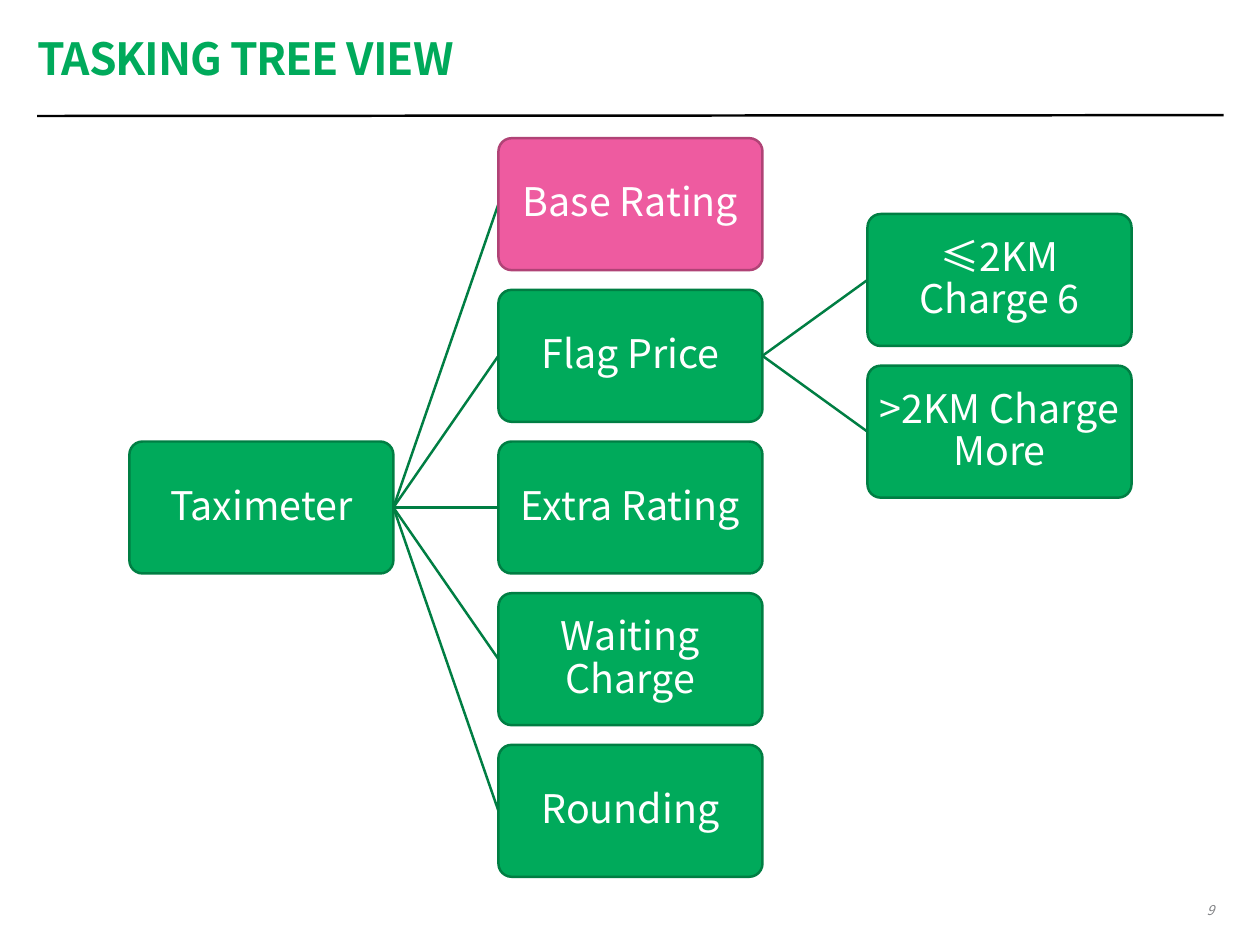
from pptx import Presentation
from pptx.dml.color import RGBColor as RGB
from pptx.enum.shapes import MSO_CONNECTOR as LINE, MSO_SHAPE as SHAPE
from pptx.enum.text import MSO_ANCHOR as ANCHOR, PP_ALIGN as ALIGN
from pptx.oxml.ns import qn
from pptx.util import Inches, Pt
from lxml.etree import SubElement

FONT = "Noto Sans CJK SC"
HUES = {"green": "00AA5B", "dark": "007E43", "pink": "EE5BA0", "plum": "B04376",
        "black": "000000", "white": "FFFFFF", "gray": "808184"}
TITLE = {"size": Pt(36), "bold": True}
LABEL = {"size": Pt(32)}
PAGE = {"size": Pt(11), "italic": True}
NODES = {
    "Taximeter": (0, 2, None),
    "Base Rating": (1, 0, "Taximeter"),
    "Flag Price": (1, 1, "Taximeter"),
    "Extra Rating": (1, 2, "Taximeter"),
    "Waiting Charge": (1, 3, "Taximeter"),
    "Rounding": (1, 4, "Taximeter"),
    "≤2KM Charge 6": (2, 0.5, "Flag Price"),
    ">2KM Charge More": (2, 1.5, "Flag Price"),
}


def color(name):
    return RGB.from_string(HUES[name])


def write(shape, text, style, hue, align, space=1.0, inset=0.0, wrap=True):
    frame = shape.text_frame
    pad = Inches(inset)
    look = {"word_wrap": wrap, "vertical_anchor": ANCHOR.MIDDLE,
            "margin_left": pad, "margin_right": pad,
            "margin_top": pad, "margin_bottom": pad}
    for key, value in look.items():
        setattr(frame, key, value)
    para = frame.paragraphs[0]
    para.alignment, para.line_spacing = align, space
    run = para.add_run()
    run.text = text
    for key, value in {**style, "name": FONT}.items():
        setattr(run.font, key, value)
    run.font.color.rgb = color(hue)
    props = run._r.get_or_add_rPr()
    SubElement(props, qn("a:ea")).set("typeface", FONT)
    return props


def link(slide, start, end, hue):
    line = slide.shapes.add_connector(LINE.STRAIGHT, *map(Inches, start + end))
    line.line.color.rgb = color(hue)
    line.line.width = Pt(2)
    SubElement(line._element.spPr, qn("a:effectLst"))


def header(slide, x, y, w, h):
    link(slide, (x, y + 0.98), (x + w, y + 0.97), "black")
    box = slide.shapes.add_textbox(*map(Inches, (x, y, w, h)))
    props = write(box, "TASKING TREE VIEW", TITLE, "green", ALIGN.LEFT, 0.7)
    props.set("spc", "-90")


def node(slide, text, x, y, w, h, fill, edge):
    box = slide.shapes.add_shape(SHAPE.ROUNDED_RECTANGLE,
                                 *map(Inches, (x, y, w, h)))
    box.adjustments[0] = 0.1
    box.shadow.inherit = False
    box.fill.solid()
    box.fill.fore_color.rgb = color(fill)
    box.line.color.rgb = color(edge)
    box.line.width = Pt(2)
    write(box, text, LABEL, "white", ALIGN.CENTER, 0.9, 0.02)


def tree(slide, x, y, w, h):
    wide, tall = 2.98, 1.49
    step, drop = (w - wide) / 2, (h - tall) / 4
    spots = {name: (x + col * step, y + row * drop)
             for name, (col, row, _) in NODES.items()}
    for name, (_, _, root) in NODES.items():
        left, top = spots[name]
        if root:
            far, high = spots[root]
            link(slide, (far + wide, high + tall / 2),
                 (left, top + tall / 2), "dark")
        hues = ("pink", "plum") if name == "Base Rating" else ("green", "dark")
        node(slide, name, left, top, wide, tall, *hues)


def footer(slide, x, y, w, h):
    box = slide.shapes.add_textbox(*map(Inches, (x, y, w, h)))
    write(box, "9", PAGE, "gray", ALIGN.RIGHT, inset=0.1, wrap=False)


def main():
    deck = Presentation()
    deck.slide_width, deck.slide_height = Inches(14.22), Inches(10.67)
    slide = deck.slides.add_slide(deck.slide_layouts[6])
    header(slide, 0.42, 0.33, 13.39, 0.79)
    tree(slide, 1.46, 1.56, 11.31, 8.34)
    footer(slide, 13.51, 10.12, 0.29, 0.32)
    deck.save("out.pptx")


if __name__ == "__main__":
    main()
